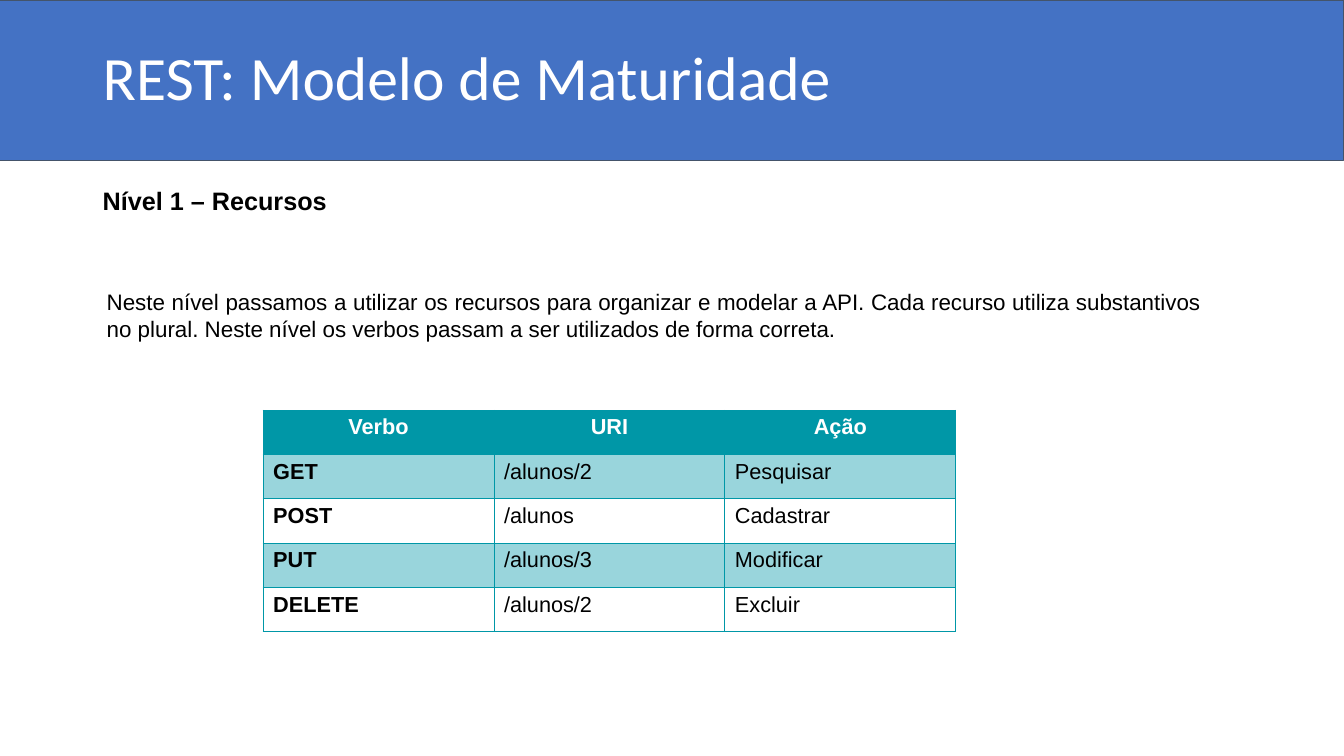
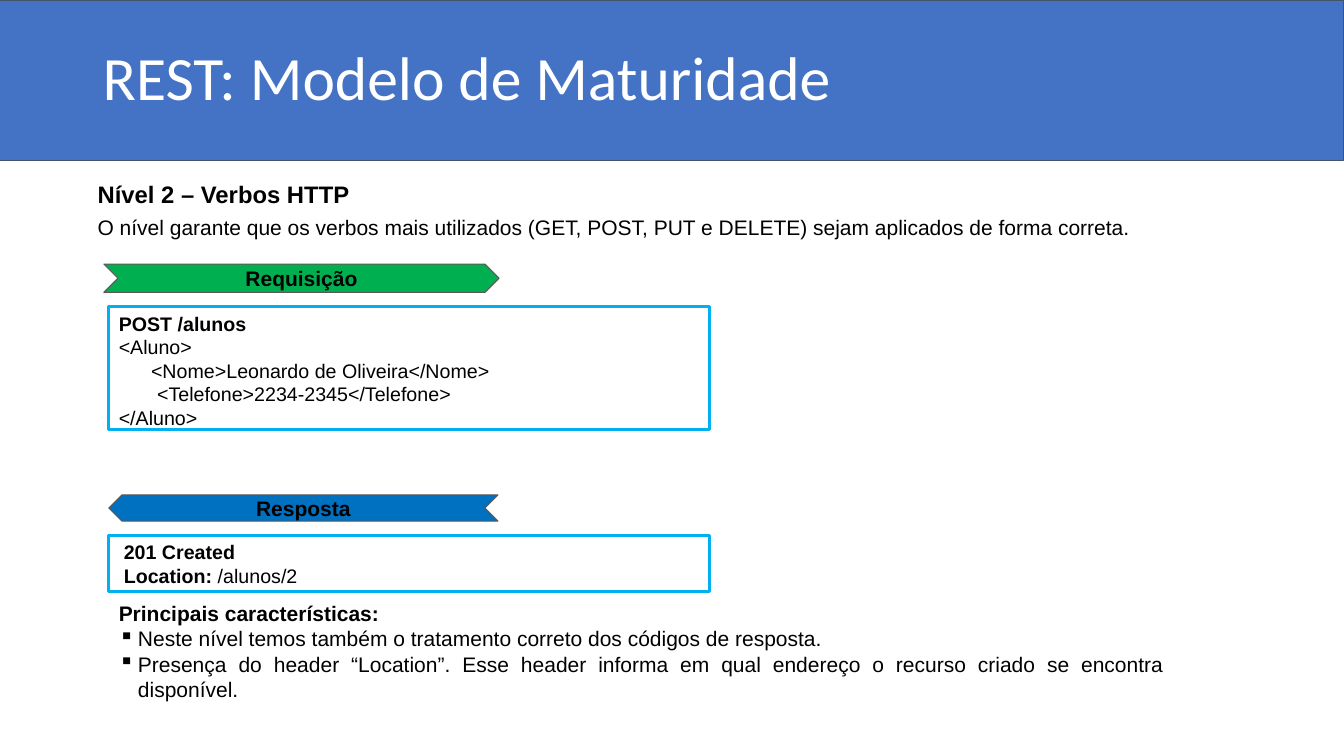
from lxml import etree
from pptx import Presentation
from pptx.dml.color import RGBColor
from pptx.enum.shapes import MSO_SHAPE
from pptx.enum.text import MSO_ANCHOR, PP_ALIGN
from pptx.oxml.ns import qn
from pptx.util import Inches, Pt

RECTANGLE, CHEVRON = MSO_SHAPE.RECTANGLE, MSO_SHAPE.CHEVRON
TOP, MIDDLE = MSO_ANCHOR.TOP, MSO_ANCHOR.MIDDLE
LEFT, CENTER, JUSTIFY = PP_ALIGN.LEFT, PP_ALIGN.CENTER, PP_ALIGN.JUSTIFY

WIDTH, HEIGHT = 13.33, 7.5
BLUE, SLATE, GRAY = "4472C4", "44546A", "595959"
TEAL, PALE_TEAL = "0097A7", "99D5DC"
GREEN, DEEP_BLUE, SKY = "00B050", "0070C0", "00B0F0"
BLACK, WHITE = "000000", "FFFFFF"

TITLE = "REST: Modelo de Maturidade"

LEVEL_1 = "Nível 1 – Recursos"
LEVEL_1_TEXT = (
    "Neste nível passamos a utilizar os recursos para organizar e modelar a API. "
    "Cada recurso utiliza substantivos no plural. "
    "Neste nível os verbos passam a ser utilizados de forma correta."
)
VERBS = [
    ("Verbo", "URI", "Ação"),
    ("GET", "/alunos/2", "Pesquisar"),
    ("POST", "/alunos", "Cadastrar"),
    ("PUT", "/alunos/3", "Modificar"),
    ("DELETE", "/alunos/2", "Excluir"),
]
COLUMN_WIDTH, ROW_HEIGHT = 2.29, 0.44

LEVEL_2 = "Nível 2 – Verbos HTTP"
LEVEL_2_TEXT = (
    "O nível garante que os verbos mais utilizados (GET, POST, PUT e DELETE) "
    "sejam aplicados de forma correta."
)
# A paragraph is a list of (text, bold) spans, with its indent in inches.
REQUEST = [
    ([("POST /alunos", True)], 0),
    ([("<Aluno>", False)], 0),
    ([("<Nome>Leonardo de Oliveira</Nome>", False)], 0.32),
    ([("<Telefone>2234-2345</Telefone>", False)], 0.38),
    ([("</Aluno>", False)], 0),
]
RESPONSE = [
    ([("201 Created", True)], 0.05),
    ([("Location:", True), (" /alunos/2", False)], 0.05),
]
# label, colour, flipped, chevron place, code, code place
EXCHANGES = [
    ("Requisição", GREEN, False, (1.03, 2.62, 3.92, 0.28),
     REQUEST, (1.08, 3.04, 5.96, 1.22)),
    ("Resposta", DEEP_BLUE, True, (1.08, 4.91, 3.86, 0.26),
     RESPONSE, (1.08, 5.31, 5.96, 0.56)),
]
FEATURES_HEADING = "Principais características:"
FEATURES = [
    "Neste nível temos também o tratamento correto dos códigos de resposta.",
    "Presença do header “Location”. Esse header informa em qual endereço "
    "o recurso criado se encontra disponível.",
]
BULLET, BULLET_INDENT = "▪", 0.19


def color(value):
    return RGBColor.from_string(value)


def place(*lengths):
    return [Inches(length) for length in lengths]


def add_bullet(para):
    properties = para._p.get_or_add_pPr()
    properties.set("indent", str(-Inches(BULLET_INDENT)))
    etree.SubElement(properties, qn("a:buChar")).set("char", BULLET)


def write(frame, content, size=15, bold=False, ink=BLACK, font="Arial",
          align=LEFT, anchor=TOP, spacing=None, bulleted=False):
    """Fill a text frame from a string or a list of (spans, indent)."""
    paragraphs = [([(content, bold)], 0)] if isinstance(content, str) else content
    frame.word_wrap = True
    frame.vertical_anchor = anchor
    for index, (spans, indent) in enumerate(paragraphs):
        para = frame.add_paragraph() if index else frame.paragraphs[0]
        para.alignment = align
        if spacing:
            para.line_spacing = spacing
        if indent:
            para._p.get_or_add_pPr().set("marL", str(Inches(indent)))
            if bulleted:
                add_bullet(para)
        for text, heavy in spans:
            span = para.add_run()
            span.text = text
            span.font.name = font
            span.font.size = Pt(size)
            span.font.bold = heavy
            span.font.color.rgb = color(ink)


def add_text(slide, at, content, **style):
    write(slide.shapes.add_textbox(*place(*at)).text_frame, content, **style)


def add_box(slide, kind, at, line, weight=0.75, fill=None):
    box = slide.shapes.add_shape(kind, *place(*at))
    box.shadow.inherit = False
    if fill:
        box.fill.solid()
        box.fill.fore_color.rgb = color(fill)
    else:
        box.fill.background()
    box.line.color.rgb = color(line)
    box.line.width = Pt(weight)
    return box


def add_page(deck):
    """Add a slide with the shared band and title."""
    slide = deck.slides.add_slide(deck.slide_layouts[6])
    add_box(slide, RECTANGLE, (0, 0, WIDTH, 1.59), SLATE, fill=BLUE)
    add_text(slide, (0.92, 0.07, 11.5, 1.45), TITLE, size=44, ink=WHITE,
             font="Calibri", anchor=MIDDLE, spacing=0.9)
    return slide


def set_borders(cell, line, weight=0.75):
    properties = cell._tc.get_or_add_tcPr()
    for position, side in enumerate(("lnL", "lnR", "lnT", "lnB")):
        border = etree.Element(qn(f"a:{side}"), w=str(Pt(weight)))
        fill = etree.SubElement(border, qn("a:solidFill"))
        etree.SubElement(fill, qn("a:srgbClr")).set("val", line)
        properties.insert(position, border)


def add_verb_table(slide, left, top):
    rows, columns = len(VERBS), len(VERBS[0])
    at = place(left, top, columns * COLUMN_WIDTH, rows * ROW_HEIGHT)
    table = slide.shapes.add_table(rows, columns, *at).table
    for row, values in enumerate(VERBS):
        header = row == 0
        for column, value in enumerate(values):
            cell = table.cell(row, column)
            if header or row % 2:
                cell.fill.solid()
                cell.fill.fore_color.rgb = color(TEAL if header else PALE_TEAL)
            else:
                cell.fill.background()
            set_borders(cell, TEAL)
            write(cell.text_frame, value, size=15.5,
                  bold=header or column == 0,
                  ink=WHITE if header else BLACK,
                  align=CENTER if header else LEFT)


def add_exchange(slide, label, fill, flipped, arrow_at, code, code_at):
    arrow = add_box(slide, CHEVRON, arrow_at, GRAY, fill=fill)
    if flipped:
        arrow.element.spPr.find(qn("a:xfrm")).set("flipH", "1")
    write(arrow.text_frame, label, bold=True, align=CENTER, anchor=MIDDLE)
    frame = add_box(slide, RECTANGLE, code_at, SKY, weight=2.25).text_frame
    write(frame, code, size=14)


def build_level_1(deck):
    slide = add_page(deck)
    add_text(slide, (0.92, 1.79, 2.62, 0.74), LEVEL_1, size=18, bold=True)
    add_text(slide, (0.96, 2.81, 11.05, 1.11), LEVEL_1_TEXT, size=16, align=JUSTIFY)
    add_verb_table(slide, 2.61, 4.07)


def build_level_2(deck):
    slide = add_page(deck)
    add_text(slide, (0.87, 1.73, 2.72, 0.4), LEVEL_2, size=17, bold=True)
    add_text(slide, (0.87, 2.08, 11.44, 0.36), LEVEL_2_TEXT, align=JUSTIFY)
    for exchange in EXCHANGES:
        add_exchange(slide, *exchange)
    features = [([(FEATURES_HEADING, True)], 0)]
    features += [([(text, False)], BULLET_INDENT) for text in FEATURES]
    add_text(slide, (1.08, 5.91, 10.56, 1.08), features, align=JUSTIFY, bulleted=True)


def main():
    deck = Presentation()
    deck.slide_width, deck.slide_height = place(WIDTH, HEIGHT)
    build_level_1(deck)
    build_level_2(deck)
    deck.save("out.pptx")


if __name__ == "__main__":
    main()
